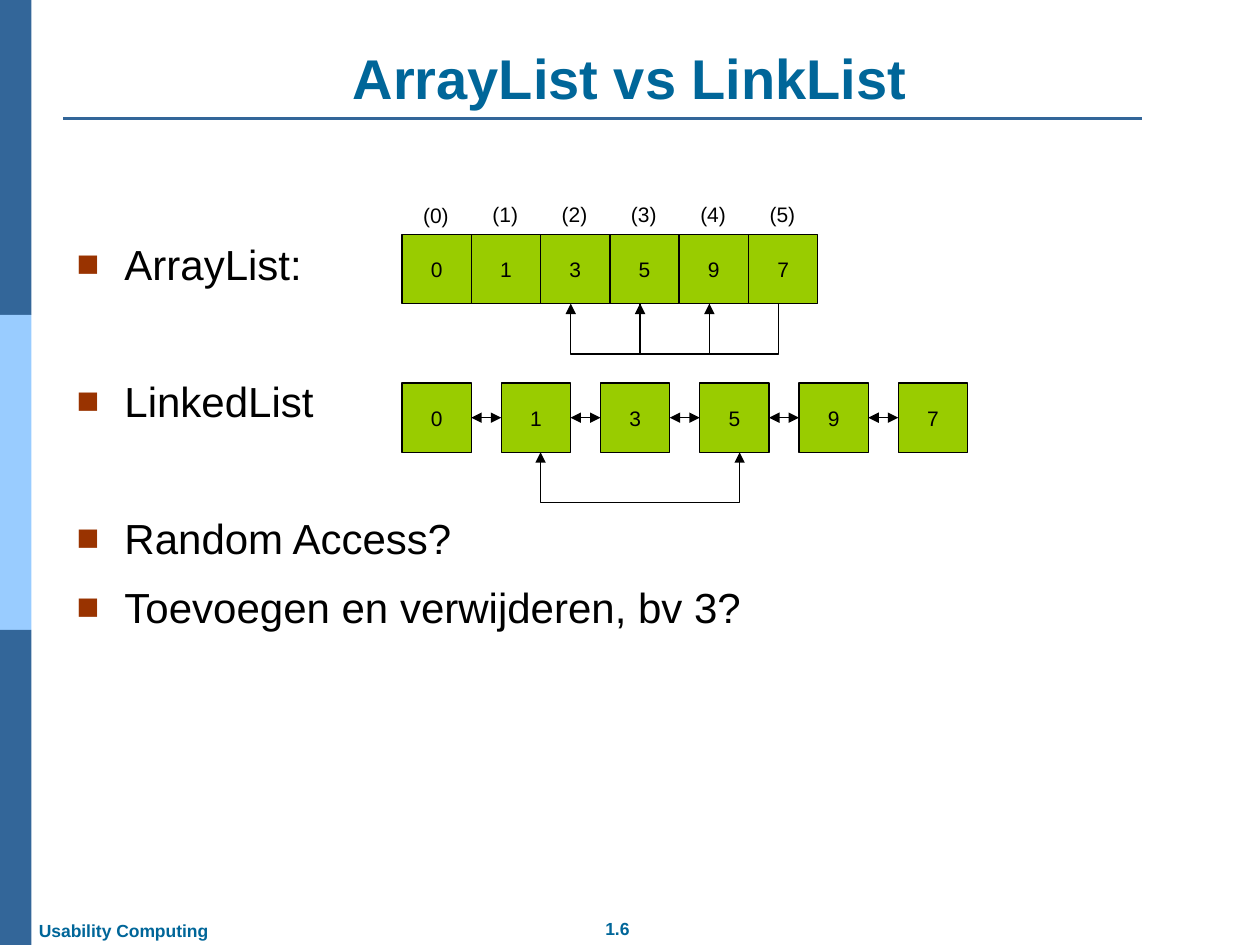
"""Build the slide that compares ArrayList with LinkedList."""
from lxml import etree
from pptx import Presentation
from pptx.dml.color import RGBColor
from pptx.enum.shapes import MSO_CONNECTOR, MSO_SHAPE
from pptx.enum.text import MSO_ANCHOR, PP_ALIGN
from pptx.oxml.ns import qn
from pptx.util import Inches, Pt

RECTANGLE = MSO_SHAPE.RECTANGLE
STRAIGHT = MSO_CONNECTOR.STRAIGHT
LEFT, CENTER = PP_ALIGN.LEFT, PP_ALIGN.CENTER
TOP, MIDDLE, BOTTOM = MSO_ANCHOR.TOP, MSO_ANCHOR.MIDDLE, MSO_ANCHOR.BOTTOM

TITLE = "ArrayList vs LinkList"
FOOTERS = [("1.6", 4.41, 7.24, 0.98, CENTER), ("Usability Computing", 0.21, 7.25, 1.6, LEFT)]
BULLETS = [("ArrayList:", 0), ("LinkedList", 49.6), ("Random Access?", 49.6),
           ("Toevoegen en verwijderen, bv 3?", 10.5)]
VALUES = ["0", "1", "3", "5", "9", "7"]
BAR_COLORS = ["336699", "99CCFF", "336699"]
BLUE, TEAL, GREEN, BROWN, BLACK = "336699", "006699", "99CC00", "993300", "000000"

CELL = 0.55
ROW_LEFT = 3.19
ARRAY_TOP, LINKED_TOP = 1.86, 3.04
LINKED_SPAN = 3.94
LOOP_DEPTH = 0.4


def rgb(color):
    return RGBColor.from_string(color)


def write(shape, text, size=12, color=BLACK, bold=False, align=CENTER, anchor=TOP, wrap=True):
    frame = shape.text_frame
    frame.word_wrap = wrap
    frame.vertical_anchor = anchor
    frame.text = text
    for paragraph in frame.paragraphs:
        paragraph.alignment = align
        font = paragraph.font
        font.name, font.size, font.bold = "Arial", Pt(size), bold
        font.color.rgb = rgb(color)
    return frame


def add_label(slide, text, left, top, width, height, **text_format):
    box = slide.shapes.add_textbox(Inches(left), Inches(top), Inches(width), Inches(height))
    return write(box, text, **text_format)


def add_rectangle(slide, left, top, width, height, fill, outline=None):
    shape = slide.shapes.add_shape(RECTANGLE, Inches(left), Inches(top), Inches(width), Inches(height))
    shape.shadow.inherit = False
    shape.fill.solid()
    shape.fill.fore_color.rgb = rgb(fill)
    if outline:
        shape.line.color.rgb = rgb(outline)
        shape.line.width = Pt(0.75)
    else:
        shape.line.fill.background()
    return shape


def style_line(shape, color=BLACK, width=0.75, head=False, tail=False):
    shape.line.color.rgb = rgb(color)
    shape.line.width = Pt(width)
    outline = shape.line._get_or_add_ln()
    for tag, wanted in (("a:headEnd", head), ("a:tailEnd", tail)):
        if wanted:
            etree.SubElement(outline, qn(tag), type="triangle")


def add_line(slide, start, end, **line_format):
    line = slide.shapes.add_connector(STRAIGHT, *map(Inches, start + end))
    style_line(line, **line_format)
    etree.SubElement(line._element.spPr, qn("a:effectLst"))


def add_loop(slide, start, end, top, head=False):
    bottom = top + LOOP_DEPTH
    builder = slide.shapes.build_freeform(Inches(start), Inches(top))
    corners = [(start, bottom), (end, bottom), (end, top)]
    builder.add_line_segments([(Inches(x), Inches(y)) for x, y in corners], close=False)
    loop = builder.convert_to_shape()
    loop.shadow.inherit = False
    loop.fill.background()
    style_line(loop, head=head, tail=True)


def add_bullets(slide):
    text = "\n".join(text for text, _ in BULLETS)
    frame = add_label(slide, text, 0.51, 1.84, 9, 5.14, size=24, align=LEFT)
    for paragraph, (_, gap) in zip(frame.paragraphs, BULLETS):
        paragraph.space_before = Pt(gap)
        properties = paragraph._p.get_or_add_pPr()
        properties.set("marL", str(Inches(0.38)))
        properties.set("indent", str(Inches(-0.38)))
        bullet_color = etree.Element(qn("a:buClr"))
        etree.SubElement(bullet_color, qn("a:srgbClr"), val=BROWN)
        parts = [bullet_color, etree.Element(qn("a:buSzPct"), val="90000"),
                 etree.Element(qn("a:buFont"), typeface="Arial"),
                 etree.Element(qn("a:buChar"), char="■")]
        default_run = properties.find(qn("a:defRPr"))
        for part in parts:
            default_run.addprevious(part)


def add_cells(slide, top, step):
    for index, value in enumerate(VALUES):
        cell = add_rectangle(slide, ROW_LEFT + index * step, top, CELL, CELL, GREEN, BLACK)
        write(cell, value, anchor=MIDDLE, wrap=False)


def add_array(slide):
    add_cells(slide, ARRAY_TOP, CELL)
    for index in range(len(VALUES)):
        top = 1.55 if index else 1.56
        add_label(slide, f"({index})", ROW_LEFT + 0.02 + index * CELL, top, 0.5, 0.3)
    for target in (2, 3, 4):
        end = ROW_LEFT + 0.24 + target * CELL
        add_loop(slide, end + CELL, end, ARRAY_TOP + CELL)


def add_linked_list(slide):
    step = LINKED_SPAN / (len(VALUES) - 1)
    add_cells(slide, LINKED_TOP, step)
    middle = LINKED_TOP + CELL / 2
    for index in range(len(VALUES) - 1):
        left = ROW_LEFT + index * step
        add_line(slide, (left + CELL, middle), (left + step, middle), head=True, tail=True)
    add_loop(slide, 4.29, 5.87, LINKED_TOP + CELL, head=True)


def main():
    presentation = Presentation()
    presentation.slide_width, presentation.slide_height = Inches(10), Inches(7.5)
    slide = presentation.slides.add_slide(presentation.slide_layouts[5])

    title = slide.shapes.title
    title.left, title.top, title.width, title.height = map(Inches, (0.5, 0.3, 9, 0.63))
    write(title, TITLE, size=32, color=TEAL, bold=True, anchor=BOTTOM)

    for index, color in enumerate(BAR_COLORS):
        add_rectangle(slide, 0, index * 2.5, 0.25, 2.5, color)
    add_line(slide, (0.5, 0.94), (9.06, 0.94), color=BLUE, width=1.5)
    for text, left, top, width, align in FOOTERS:
        add_label(slide, text, left, top, width, 0.27, size=10, color=TEAL, bold=True, align=align)

    add_bullets(slide)
    add_array(slide)
    add_linked_list(slide)
    presentation.save("out.pptx")


if __name__ == "__main__":
    main()
